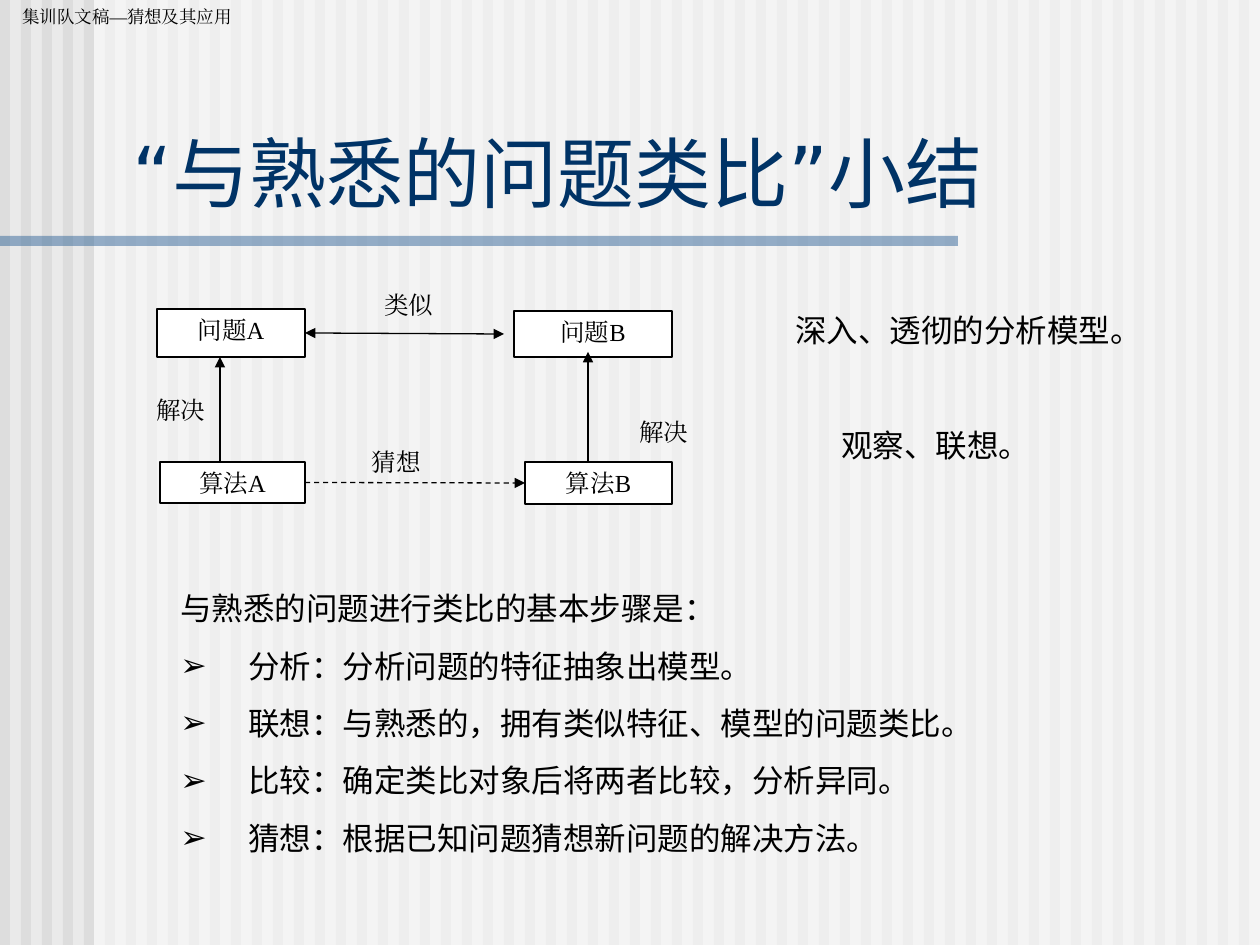
from lxml.etree import SubElement
from pptx import Presentation
from pptx.dml.color import RGBColor
from pptx.enum.dml import MSO_LINE
from pptx.enum.shapes import MSO_CONNECTOR, MSO_SHAPE
from pptx.enum.text import MSO_ANCHOR, PP_ALIGN
from pptx.oxml.ns import qn
from pptx.util import Pt

PX = 914400 / 126
WIDTH, HEIGHT = 1260, 945
LEFT, RIGHT = 1, 3
SERIF, SANS, CJK = "Times New Roman", "DejaVu Sans", "Noto Sans CJK SC"
BLACK, WHITE = "000000", "FFFFFF"


def px(*lengths):
    return [round(length * PX) for length in lengths]


def color(value):
    return RGBColor.from_string(value)


def add_bullet(para, mark, indent):
    properties = para._p.get_or_add_pPr()
    properties.set("marL", str(indent))
    properties.set("indent", str(-indent))
    tint = SubElement(properties, qn("a:buClr"))
    SubElement(tint, qn("a:srgbClr"), val=BLACK)
    SubElement(properties, qn("a:buFont"), typeface=SANS)
    SubElement(properties, qn("a:buChar"), char=mark)


def write(box, text, *, size, font=SERIF, ink=BLACK, align=PP_ALIGN.LEFT,
          anchor=MSO_ANCHOR.TOP, indent=0, gap=0, bullet=None):
    """Fill a box with one paragraph per line; a bullet marks all but the first."""
    frame = box.text_frame
    frame.word_wrap = True
    frame.vertical_anchor = anchor
    for number, line in enumerate(text.split("\n")):
        para = frame.add_paragraph() if number else frame.paragraphs[0]
        para.alignment = align
        if number:
            para.space_before = Pt(gap)
            if bullet:
                add_bullet(para, bullet, px(indent)[0])
        elif indent and not bullet:
            para._p.get_or_add_pPr().set("marL", str(px(indent)[0]))
        span = para.add_run()
        span.text = line
        span.font.size = Pt(size)
        span.font.name = font
        span.font.color.rgb = color(ink)
        SubElement(span._r.get_or_add_rPr(), qn("a:ea"), typeface=font)


class SlideBuilder:
    """Holds the slide and the style of its diagram."""

    label_style = {"size": 14, "align": PP_ALIGN.CENTER}
    line_width = Pt(0.75)

    def __init__(self, deck, background):
        self.slide = deck.slides.add_slide(deck.slide_layouts[6])
        self.shapes = self.slide.shapes
        fill = self.slide.background.fill
        fill.solid()
        fill.fore_color.rgb = color(background)

    def bar(self, left, top, width, height, fill, opacity=100):
        bar = self.shapes.add_shape(
            MSO_SHAPE.RECTANGLE, *px(left, top, width, height))
        bar.shadow.inherit = False
        bar.fill.solid()
        bar.fill.fore_color.rgb = color(fill)
        bar.line.fill.background()
        if opacity < 100:
            tint = bar._element.spPr.find(qn("a:solidFill"))[0]
            SubElement(tint, qn("a:alpha"), val=str(opacity * 1000))
        return bar

    def node(self, left, top, width, height, text):
        node = self.bar(left, top, width, height, WHITE)
        node.line.color.rgb = color(BLACK)
        node.line.width = self.line_width
        write(node, text, **self.label_style)
        return node

    def text(self, left, top, width, height, text, **style):
        box = self.shapes.add_textbox(*px(left, top, width, height))
        write(box, text, **style)

    def label(self, left, top, width, text):
        self.text(left, top, width, 40, text, **self.label_style)

    def arrow(self, start, end, *, source=None, target=None,
              dashed=False, both=False):
        """Draw an arrow; source and target are (node, side) pairs to join."""
        arrow = self.shapes.add_connector(
            MSO_CONNECTOR.STRAIGHT, *px(*start, *end))
        if source:
            arrow.begin_connect(*source)
        if target:
            arrow.end_connect(*target)
        arrow.line.color.rgb = color(BLACK)
        arrow.line.width = self.line_width
        if dashed:
            arrow.line.dash_style = MSO_LINE.DASH
        outline = arrow.line._get_or_add_ln()
        if both:
            SubElement(outline, qn("a:headEnd"), type="triangle")
        SubElement(outline, qn("a:tailEnd"), type="triangle")
        SubElement(arrow._element.spPr, qn("a:effectLst"))


def add_backdrop(builder):
    for left in range(0, WIDTH, 21):
        builder.bar(left, 0, 10, HEIGHT, "DDDDDD")
    builder.bar(94, 0, WIDTH - 94, HEIGHT, WHITE, opacity=50)
    builder.bar(0, 236, 958, 10, "336699", opacity=50)
    builder.text(10, 0, 284, 34, "集训队文稿—猜想及其应用", size=10)


def add_diagram(builder):
    builder.node(157, 309, 148, 48, "问题A")
    problem_a = builder.shapes[-1]
    algorithm_a = builder.node(160, 462, 145, 41, "算法A")
    builder.node(514, 311, 158, 46, "问题B")
    algorithm_b = builder.node(525, 462, 147, 42, "算法B")

    builder.arrow((220, 462), (220, 357))
    builder.arrow((588, 462), (588, 352))
    builder.arrow((305, 333), (504, 334), source=(problem_a, RIGHT), both=True)
    builder.arrow((305, 483), (525, 483), source=(algorithm_a, RIGHT),
                  target=(algorithm_b, LEFT), dashed=True)

    builder.label(142, 389, 78, "解决")
    builder.label(625, 411, 78, "解决")
    builder.label(346, 284, 126, "类似")
    builder.label(357, 441, 79, "猜想")


def main():
    deck = Presentation()
    deck.slide_width, deck.slide_height = px(WIDTH, HEIGHT)
    builder = SlideBuilder(deck, "EAEAEA")
    add_backdrop(builder)
    builder.text(120, 118, 1125, 106, "“与熟悉的问题类比”小结", size=44,
                 font=SANS, ink="003366", anchor=MSO_ANCHOR.BOTTOM)
    builder.text(756, 305, 441, 50, "深入、透彻的分析模型。",
                 size=18, font=CJK, indent=27)
    builder.text(829, 420, 273, 50, "观察、联想。", size=18, font=SANS)
    add_diagram(builder)
    steps = [
        "与熟悉的问题进行类比的基本步骤是：",
        "分析：分析问题的特征抽象出模型。",
        "联想：与熟悉的，拥有类似特征、模型的问题类比。",
        "比较：确定类比对象后将两者比较，分析异同。",
        "猜想：根据已知问题猜想新问题的解决方法。",
    ]
    builder.text(168, 583, 914, 281, "\n".join(steps), size=18, font=SANS,
                 gap=11.2, bullet="➢", indent=68)
    deck.save("out.pptx")


if __name__ == "__main__":
    main()
